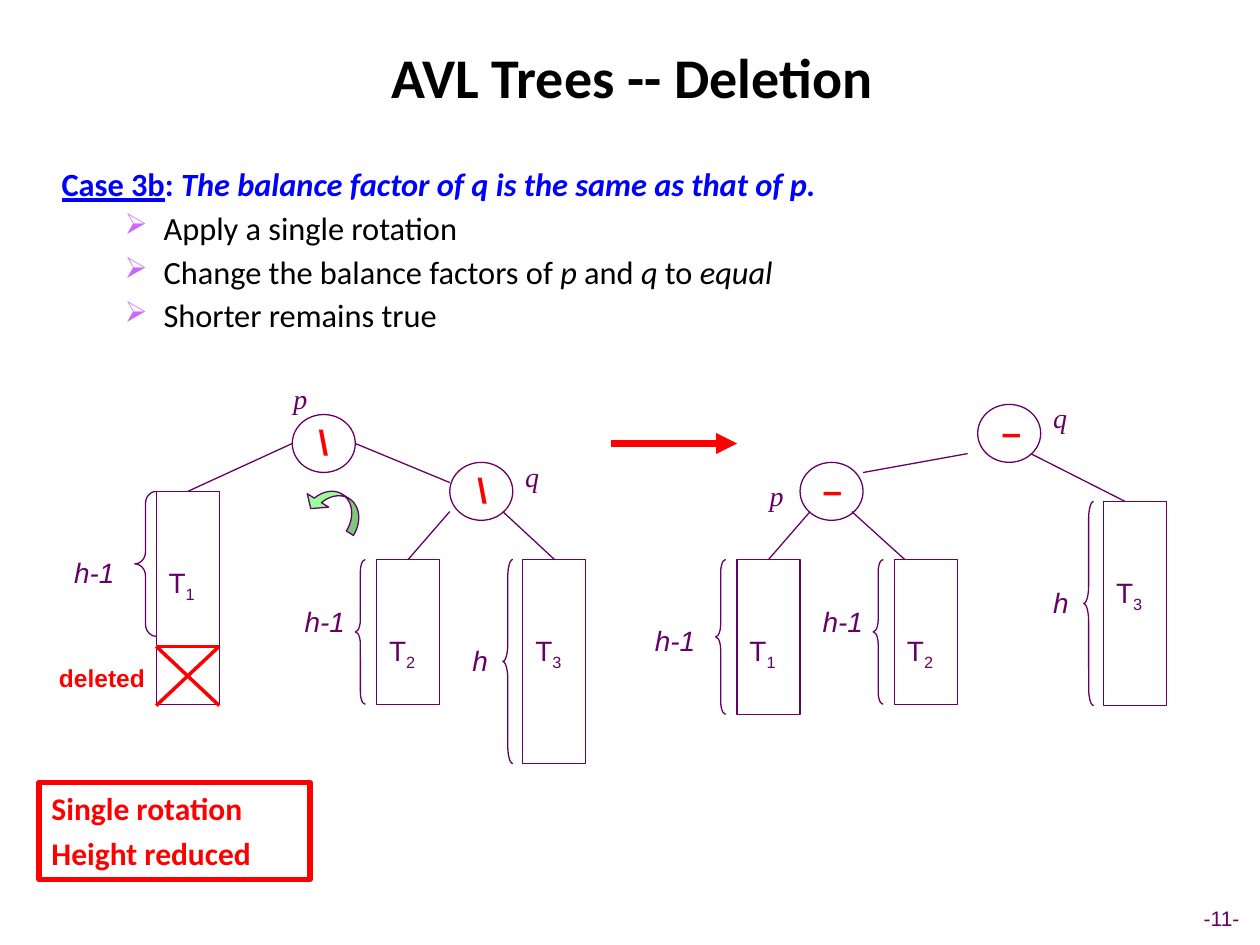
from typing import NamedTuple

from lxml.etree import SubElement
from pptx import Presentation
from pptx.dml.color import RGBColor
from pptx.enum.shapes import MSO_CONNECTOR, MSO_SHAPE
from pptx.enum.text import MSO_ANCHOR, MSO_AUTO_SIZE, PP_ALIGN
from pptx.oxml.ns import qn
from pptx.util import Emu, Pt

PX = 9144  # EMU per px, 100 px to the inch
BLACK = RGBColor(0x00, 0x00, 0x00)
WHITE = RGBColor(0xFF, 0xFF, 0xFF)
RED = RGBColor(0xFF, 0x00, 0x00)
BLUE = RGBColor(0x00, 0x00, 0xFF)
PURPLE = RGBColor(0x66, 0x00, 0x66)
GREEN = RGBColor(0x99, 0xFF, 0x99)
BULLET_COLOR = "CC66FF"
NODE_W, NODE_H = 50, 46
TREE_W = 50


class Box(NamedTuple):
    x: int
    y: int
    w: int
    h: int

    def emu(self):
        return [Emu(v * PX) for v in self]


class Node(NamedTuple):
    x: int
    y: int
    balance: str
    balance_x: int
    name: str
    name_x: int
    name_y: int


class Subtree(NamedTuple):
    x: int
    y: int
    h: int
    index: str
    brace: Box
    height: str
    height_x: int
    height_y: int


class Edge(NamedTuple):
    x1: int
    y1: int
    x2: int
    y2: int


NODES = [
    Node(232, 329, "\\", 243, "p", 223, 298),
    Node(357, 367, "\\", 369, "q", 407, 360),
    Node(776, 321, "–", 785, "q", 826, 313),
    Node(635, 367, "–", 643, "p", 601, 375),
]
SUBTREES = [
    Subtree(124, 390, 169, "1", Box(107, 390, 17, 115), "h-1", 49, 436),
    Subtree(299, 444, 115, "2", Box(282, 444, 8, 115), "h-1", 232, 475),
    Subtree(415, 444, 162, "3", Box(399, 444, 8, 162), "h", 365, 506),
    Subtree(585, 444, 123, "1", Box(568, 444, 8, 123), "h-1", 510, 490),
    Subtree(710, 444, 115, "2", Box(693, 444, 8, 115), "h-1", 643, 475),
    Subtree(876, 398, 162, "3", Box(860, 398, 8, 162), "h", 826, 460),
]
EDGES = [
    Edge(232, 352, 149, 390), Edge(282, 352, 357, 383),
    Edge(357, 406, 324, 444), Edge(399, 406, 440, 444),
    Edge(768, 360, 685, 375), Edge(818, 360, 893, 398),
    Edge(643, 406, 610, 444), Edge(676, 406, 718, 444),
]
DELETED_MARKS = [
    Edge(124, 513, 174, 513), Edge(124, 513, 174, 560), Edge(174, 513, 124, 560),
]


def add_run(p, text: str, *, size: float = 16, font: str = "Arial",
            color: RGBColor = PURPLE, bold=False, italic=False,
            underline=False, subscript=False):
    r = p.add_run()
    r.text = text
    f = r.font
    f.size, f.name, f.bold, f.italic, f.underline = Pt(size), font, bold, italic, underline
    f.color.rgb = color
    if subscript:
        r._r.get_or_add_rPr().set("baseline", "-25000")
    return r


def add_text(s, box: Box, text: str = "", *, wrap=True, **fmt):
    """Add a text box and return its first paragraph."""
    tf = s.shapes.add_textbox(*box.emu()).text_frame
    tf.word_wrap = wrap
    p = tf.paragraphs[0]
    if text:
        add_run(p, text, **fmt)
    return p


def add_outline(s, kind: MSO_SHAPE, box: Box, *, fill=None, color=PURPLE, width=0.75):
    sp = s.shapes.add_shape(kind, *box.emu())
    sp.shadow.inherit = False
    if fill is None:
        sp.fill.background()
    else:
        sp.fill.solid()
        sp.fill.fore_color.rgb = fill
    sp.line.color.rgb = color
    sp.line.width = Pt(width)
    return sp


def add_line(s, edge: Edge, *, color=PURPLE, width=0.75, arrow=False):
    cx = s.shapes.add_connector(MSO_CONNECTOR.STRAIGHT, *[Emu(v * PX) for v in edge])
    cx.line.color.rgb = color
    cx.line.width = Pt(width)
    sp_pr = cx._element.spPr
    if arrow:
        SubElement(sp_pr.find(qn("a:ln")), qn("a:tailEnd"), type="triangle")
    SubElement(sp_pr, qn("a:effectLst"))


def draw_node(s, n: Node):
    add_outline(s, MSO_SHAPE.OVAL, Box(n.x, n.y, NODE_W, NODE_H))
    add_text(s, Box(n.balance_x, n.y, 42, 44), n.balance, size=20, color=RED, bold=True)
    add_text(s, Box(n.name_x, n.name_y, 58, 37), n.name, font="Times New Roman", italic=True)


def draw_subtree(s, t: Subtree):
    add_outline(s, MSO_SHAPE.RECTANGLE, Box(t.x, t.y, TREE_W, t.h))
    p = add_text(s, Box(t.x, t.y + 54, TREE_W, 41), "T")
    add_run(p, t.index, subscript=True)
    brace = add_outline(s, MSO_SHAPE.LEFT_BRACE, t.brace)
    brace.adjustments[0] = t.brace.h / 12 / t.brace.w
    label_w = 50 if t.height == "h" else 83
    add_text(s, Box(t.height_x, t.height_y, label_w, 37), t.height, italic=True)


def format_bullet(p):
    p_pr = p._p.get_or_add_pPr()
    p_pr.set("marL", str(81 * PX))
    p_pr.set("indent", str(-31 * PX))
    SubElement(SubElement(p_pr, qn("a:buClr")), qn("a:srgbClr"), val=BULLET_COLOR)
    SubElement(p_pr, qn("a:buSzPct"), val="90000")
    SubElement(p_pr, qn("a:buChar"), char="➢")


def draw_title(s):
    title = s.shapes.title
    title.left, title.top, title.width, title.height = Box(38, 13, 927, 95).emu()
    tf = title.text_frame
    tf.auto_size = MSO_AUTO_SIZE.NONE
    tf.vertical_anchor = MSO_ANCHOR.MIDDLE
    p = tf.paragraphs[0]
    p.alignment = PP_ALIGN.CENTER
    add_run(p, "AVL Trees -- Deletion", size=32, font="Calibri", color=BLACK, bold=True)


def draw_case(s):
    head = {"size": 18.5, "font": "Calibri", "color": BLUE, "bold": True}
    p = add_text(s, Box(39, 129, 838, 162), "Case 3b", underline=True, **head)
    add_run(p, ": ", **head)
    add_run(p, "The balance factor of q is the same as that of p.", italic=True, **head)
    p.line_spacing = 0.9
    # Runs alternate between upright and italic
    bullets = [
        ["Apply a single rotation"],
        ["Change the balance factors of ", "p ", "and ", "q ", "to ", "equal"],
        ["Shorter remains true"],
    ]
    tf = s.shapes[-1].text_frame
    for runs in bullets:
        p = tf.add_paragraph()
        p.level = 1
        format_bullet(p)
        p.line_spacing, p.space_before = 0.9, Pt(5)
        for i, text in enumerate(runs):
            add_run(p, text, size=18.5, font="Calibri", color=BLACK, italic=i % 2 == 1)


def draw_result(s):
    sp = add_outline(s, MSO_SHAPE.RECTANGLE, Box(31, 621, 215, 77),
                     fill=WHITE, color=RED, width=3)
    tf = sp.text_frame
    tf.vertical_anchor = MSO_ANCHOR.TOP
    for i, text in enumerate(["Single rotation", "Height reduced"]):
        p = tf.add_paragraph() if i else tf.paragraphs[0]
        p.alignment = PP_ALIGN.LEFT
        if i:
            p.space_before = Pt(4.5)
        add_run(p, text, size=18, font="Calibri", color=RED, bold=True)


def draw_rotation_arrow(s):
    sp = add_outline(s, MSO_SHAPE.CURVED_LEFT_ARROW, Box(254, 377, 23, 50), fill=GREEN)
    for i, value in enumerate([0.29, 0.87, 0.37]):
        sp.adjustments[i] = value
    sp.rotation = 302.2
    sp._element.spPr.find(qn("a:xfrm")).set("flipV", "1")


def main():
    prs = Presentation()
    prs.slide_width, prs.slide_height = Emu(1000 * PX), Emu(750 * PX)
    s = prs.slides.add_slide(prs.slide_layouts[5])
    draw_title(s)
    draw_case(s)
    draw_result(s)
    for node in NODES:
        draw_node(s, node)
    for subtree in SUBTREES:
        draw_subtree(s, subtree)
    for edge in EDGES:
        add_line(s, edge)
    for mark in DELETED_MARKS:
        add_line(s, mark, color=RED, width=2)
    add_text(s, Box(37, 521, 117, 34), "deleted", size=14, color=RED, bold=True)
    draw_rotation_arrow(s)
    add_line(s, Edge(485, 352, 585, 352), color=RED, width=4, arrow=True)
    p = add_text(s, Box(940, 714, 59, 30), "-11-", wrap=False, size=12)
    p.alignment = PP_ALIGN.CENTER
    prs.save("out.pptx")


if __name__ == "__main__":
    main()
